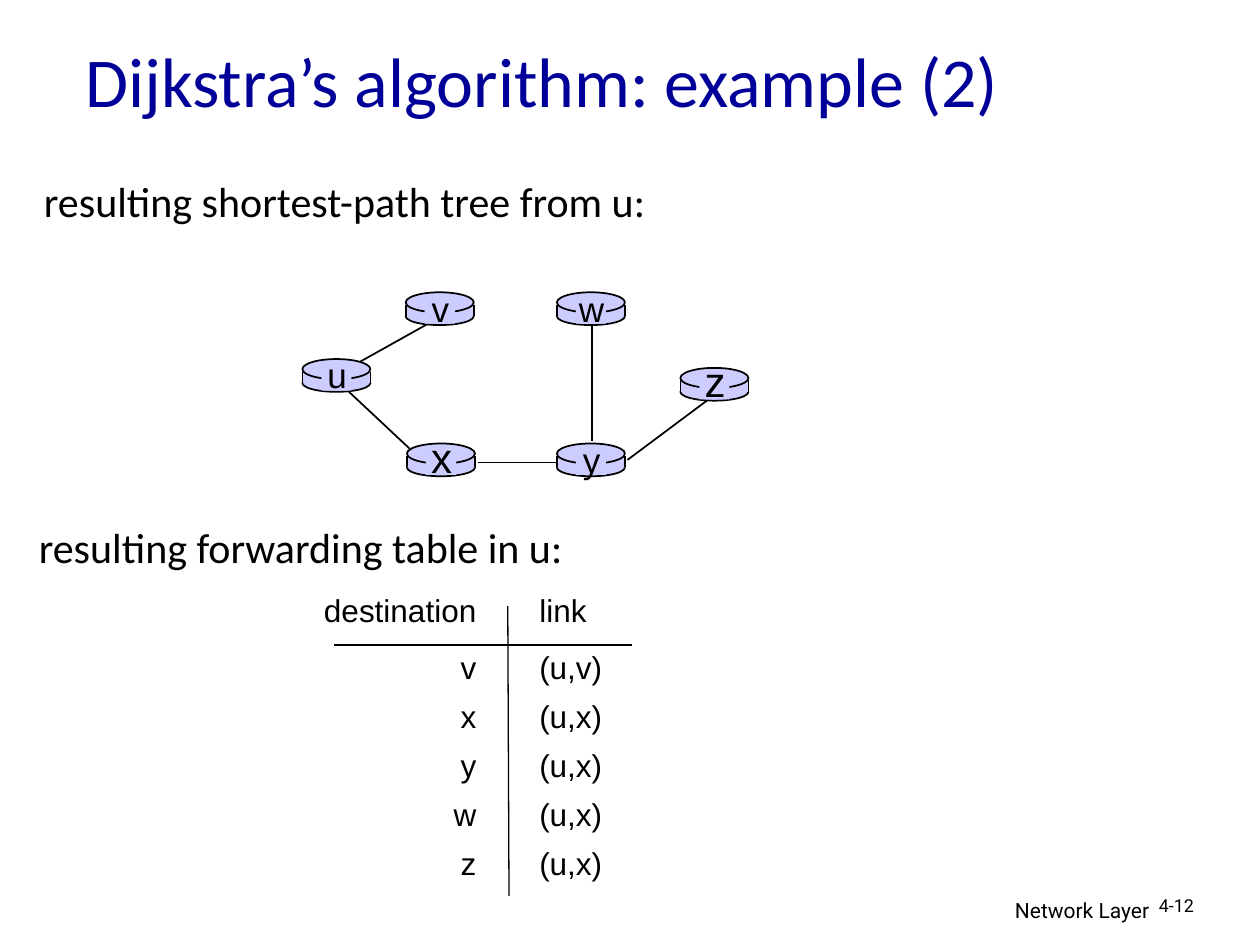
from dataclasses import dataclass
from pptx import Presentation
from pptx.dml.color import RGBColor
from pptx.enum.shapes import MSO_CONNECTOR, MSO_SHAPE
from pptx.enum.text import MSO_ANCHOR, PP_ALIGN
from pptx.oxml.ns import qn
from pptx.util import Inches, Pt
from lxml.etree import SubElement

# The slide is a grid of square cells; every length below counts cells.
COLUMNS, ROWS = 100, 75
CELL = Inches(10) / COLUMNS
PLAIN_TABLE_STYLE = "{2D5ABB26-0587-4C30-8999-92F81FD0307C}"


@dataclass(frozen=True)
class Theme:
    ink: RGBColor = RGBColor(0, 0, 0)
    title: RGBColor = RGBColor(0, 0, 0x99)
    router: RGBColor = RGBColor(0xCC, 0xCC, 0xFF)
    heading_font: str = "Calibri"
    label_font: str = "Arial"
    footer_font: str = "Roboto"
    title_size: float = 40
    heading_size: float = 24
    big_label_size: float = 24
    label_size: float = 20
    table_size: float = 18
    footer_size: float = 12
    number_size: float = 10.2
    link_width: float = 1
    rule_width: float = 0.75


THEME = Theme()

# Left and top of each router, and the size of its label
ROUTERS = {
    "u": (24, 28.5, THEME.label_size),
    "x": (32.3, 35.2, THEME.big_label_size),
    "v": (32.2, 23.2, THEME.label_size),
    "w": (44.2, 23.2, THEME.label_size),
    "y": (44.2, 35.2, THEME.label_size),
    "z": (54, 29.2, THEME.big_label_size),
}
LINK_U_V = (28.6, 28.7, 34.5, 25.4)
OTHER_LINKS = [
    (47, 25.9, 47, 35),
    (49.8, 36.5, 56.1, 31.8),
    (44.3, 36.7, 37.9, 36.7),
    (32.5, 35.6, 27.7, 31.1),
]
FORWARDING = [
    ("destination", "link"),
    ("v", "(u,v)"),
    ("x", "(u,x)"),
    ("y", "(u,x)"),
    ("w", "(u,x)"),
    ("z", "(u,x)"),
]


def cells(*counts):
    return [round(count * CELL) for count in counts]


def style(paragraph, font, size, color=THEME.ink, align=PP_ALIGN.LEFT):
    paragraph.alignment = align
    paragraph.font.name = font
    paragraph.font.size = Pt(size)
    paragraph.font.color.rgb = color


def add_text(page, text, place, font, size, color=THEME.ink,
             align=PP_ALIGN.LEFT, anchor=MSO_ANCHOR.TOP, wrap=True):
    frame = page.shapes.add_textbox(*cells(*place)).text_frame
    frame.word_wrap = wrap
    frame.vertical_anchor = anchor
    paragraph = frame.paragraphs[0]
    paragraph.text = text
    style(paragraph, font, size, color, align)
    return paragraph


def add_line(page, ends, width):
    line = page.shapes.add_connector(MSO_CONNECTOR.STRAIGHT, *cells(*ends))
    line.line.color.rgb = THEME.ink
    line.line.width = Pt(width)
    SubElement(line._element.spPr, qn("a:effectLst"))


def add_router_part(page, kind, place, outlined=False):
    part = page.shapes.add_shape(kind, *cells(*place))
    part.shadow.inherit = False
    part.fill.solid()
    part.fill.fore_color.rgb = THEME.router
    if outlined:
        part.line.color.rgb = THEME.ink
        part.line.width = Pt(THEME.link_width)
    else:
        part.line.fill.background()


def add_router(page, left, top):
    """Draw a flat cylinder: base, body, two sides and lid."""
    width, side_top, side_height = 5.4, top + 1, 0.9
    add_router_part(page, MSO_SHAPE.OVAL, (left, top + 1.2, width, 1.4), True)
    add_router_part(page, MSO_SHAPE.RECTANGLE,
                    (left, side_top, width, side_height))
    for side in (left, left + width):
        add_line(page, (side, side_top, side, side_top + side_height),
                 THEME.link_width)
    add_router_part(page, MSO_SHAPE.OVAL, (left, top, width, 1.6), True)


def add_router_label(page, name, left, top, size):
    add_router_part(page, MSO_SHAPE.RECTANGLE, (left + 1.5, top + 0.2, 2.4, 2.3))
    text_top = top - 0.9 if size == THEME.label_size else top - 1.45
    add_text(page, name, (left + 0.5, text_top, 4.5, 4.4), THEME.label_font,
             size, align=PP_ALIGN.CENTER, wrap=False)


def add_network(page):
    add_line(page, LINK_U_V, THEME.link_width)
    for left, top, _ in ROUTERS.values():
        add_router(page, left, top)
    for link in OTHER_LINKS:
        add_line(page, link, THEME.link_width)
    for name, (left, top, size) in ROUTERS.items():
        add_router_label(page, name, left, top, size)


def add_forwarding_table(page):
    left, top, widths = 24.8, 46, (15.5, 10.5)
    header_height, row_height = 5.1, 3.9
    height = header_height + row_height * (len(FORWARDING) - 1)
    frame = page.shapes.add_table(len(FORWARDING), len(widths),
                                  *cells(left, top, sum(widths), height))
    table = frame.table
    table.first_row = table.horz_banding = False
    table._tbl.tblPr.find(qn("a:tableStyleId")).text = PLAIN_TABLE_STYLE
    for column, width in zip(table.columns, cells(*widths)):
        column.width = width
    # Only the margins beside the upright rule are open.
    columns = ((PP_ALIGN.RIGHT, 0, 2.5), (PP_ALIGN.LEFT, 2.5, 0))
    for index, texts in enumerate(FORWARDING):
        table.rows[index].height = cells(row_height if index else header_height)[0]
        for cell, text, (align, *margins) in zip(table.rows[index].cells,
                                                 texts, columns):
            cell.text = text
            cell.fill.background()
            cell.vertical_anchor = MSO_ANCHOR.MIDDLE
            cell.margin_left, cell.margin_right = cells(*margins)
            cell.margin_top = cell.margin_bottom = 0
            style(cell.text_frame.paragraphs[0], THEME.label_font,
                  THEME.table_size, align=align)
    add_line(page, (40.3, 48.1, 40.4, 71.1), THEME.rule_width)
    add_line(page, (26.5, 51.2, 50.2, 51.2), THEME.rule_width)


def add_footer(page):
    add_text(page, "Network Layer", (60.5, 70.7, 31.7, 3.1),
             THEME.footer_font, THEME.footer_size, align=PP_ALIGN.RIGHT)
    number = add_text(page, "4-12", (91, 70.7, 7.4, 3),
                      THEME.footer_font, THEME.number_size)
    number.line_spacing = 0.9


def main():
    deck = Presentation()
    deck.slide_width, deck.slide_height = cells(COLUMNS, ROWS)
    page = deck.slides.add_slide(deck.slide_layouts[6])
    add_footer(page)
    add_text(page, "Dijkstra’s algorithm: example (2)", (5.8, 1.7, 85, 9.3),
             THEME.heading_font, THEME.title_size, THEME.title,
             anchor=MSO_ANCHOR.MIDDLE)
    add_network(page)
    add_text(page, "resulting shortest-path tree from u:", (2.5, 13.4, 57.5, 5),
             THEME.heading_font, THEME.heading_size)
    add_forwarding_table(page)
    add_text(page, "resulting forwarding table in u:", (2.1, 40.9, 50.6, 5),
             THEME.heading_font, THEME.heading_size)
    deck.save("out.pptx")


if __name__ == "__main__":
    main()
